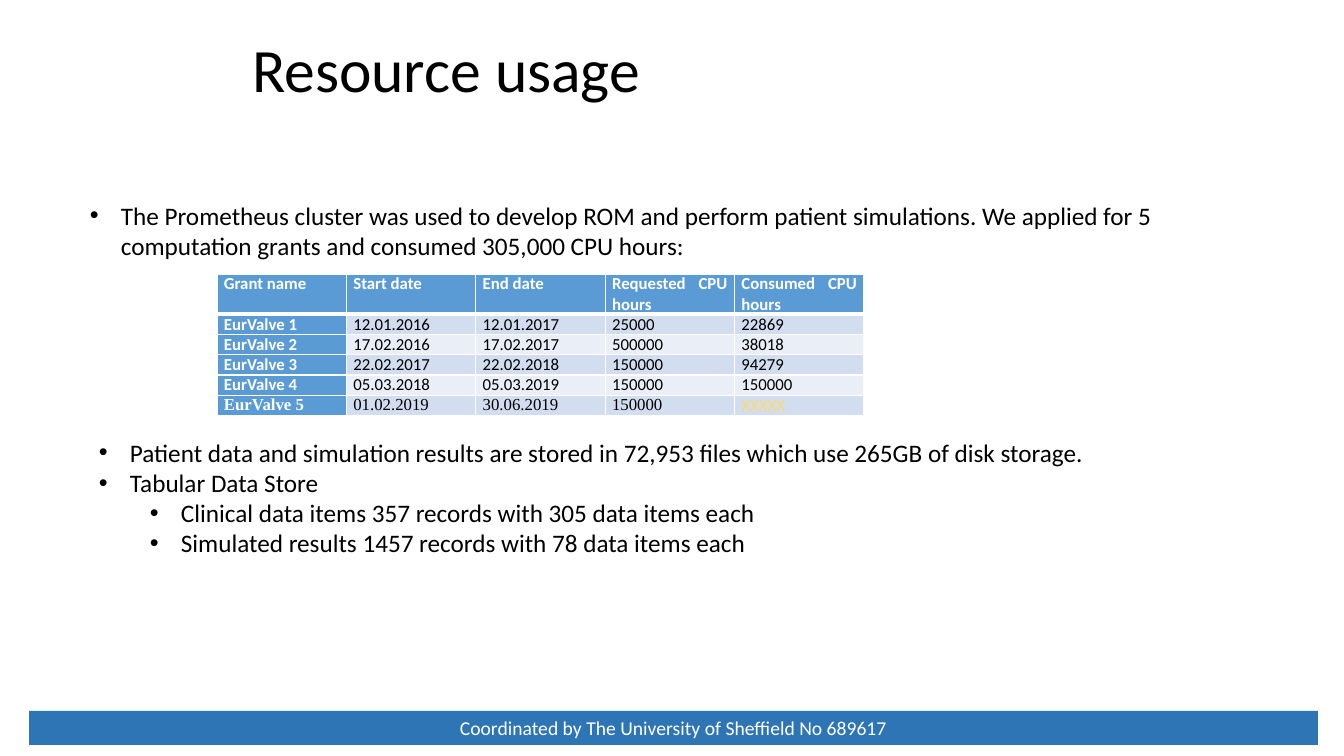
from pptx import Presentation
from pptx.dml.color import RGBColor
from pptx.enum.shapes import MSO_SHAPE
from pptx.enum.text import MSO_ANCHOR, MSO_AUTO_SIZE, PP_ALIGN
from pptx.oxml.ns import qn
from pptx.util import Pt
from lxml.etree import SubElement

SCALE = 914400 / 100.8
HUES = {
    "black": "000000", "white": "FFFFFF", "bar": "2E75B6", "head": "5B9BD5",
    "odd": "D2DEEF", "even": "EAEFF7", "gold": "FFD966",
}
SANS, SERIF = "Calibri", "Times New Roman"
USE = [
    ("The Prometheus cluster was used to develop ROM and perform patient simulations. "
     "We applied for 5 computation grants and consumed 305,000 CPU hours:", 0),
]
STORE = [
    ("Patient data and simulation results are stored in 72,953 files "
     "which use 265GB of disk storage.", 0),
    ("Tabular Data Store", 0),
    ("Clinical data items 357 records with 305 data items each", 1),
    ("Simulated results 1457 records with 78 data items each", 1),
]
GRANTS = [
    ("Grant name", "Start date", "End date", "Requested CPU hours", "Consumed CPU hours"),
    ("EurValve 1", "12.01.2016", "12.01.2017", "25000", "22869"),
    ("EurValve 2", "17.02.2016", "17.02.2017", "500000", "38018"),
    ("EurValve 3", "22.02.2017", "22.02.2018", "150000", "94279"),
    ("EurValve 4", "05.03.2018", "05.03.2019", "150000", "150000"),
    ("EurValve 5", "01.02.2019", "30.06.2019", "150000", "XXXXX"),
]


def px(n):
    return round(n * SCALE)


def hue(name):
    return RGBColor.from_string(HUES[name])


def paint(fill, name):
    fill.solid()
    fill.fore_color.rgb = hue(name)


def write(para, text, size, color="black", face=SANS, bold=False):
    run = para.add_run()
    run.text = text
    font = run.font
    font.size, font.name, font.bold = Pt(size), face, bold
    font.color.rgb = hue(color)


def add_title(slide, box, text):
    title = slide.shapes.title
    title.left, title.top, title.width, title.height = map(px, box)
    frame = title.text_frame
    frame.auto_size = MSO_AUTO_SIZE.NONE
    frame.vertical_anchor = MSO_ANCHOR.MIDDLE
    para = frame.paragraphs[0]
    para.alignment, para.line_spacing = PP_ALIGN.LEFT, 0.9
    write(para, text, 44)


def add_bar(slide, box, text):
    bar = slide.shapes.add_shape(MSO_SHAPE.RECTANGLE, *map(px, box))
    bar.shadow.inherit = False
    paint(bar.fill, "bar")
    bar.line.fill.background()
    para = bar.text_frame.paragraphs[0]
    para.alignment = PP_ALIGN.CENTER
    write(para, text, 14, "white")


def add_list(slide, box, items):
    frame = slide.shapes.add_textbox(*map(px, box)).text_frame
    frame.word_wrap = True
    for i, (text, level) in enumerate(items):
        para = frame.add_paragraph() if i else frame.paragraphs[0]
        para.level = level
        props = para._p.get_or_add_pPr()
        props.set("marL", str(px(31 + 51 * level)))
        props.set("indent", str(-px(31)))
        SubElement(props, qn("a:buFont"), typeface="Arial")
        SubElement(props, qn("a:buChar"), char="•")
        write(para, text, 18)


def add_edges(cell, row):
    props = cell._tc.get_or_add_tcPr()
    wide = {"T": 3 if row == 1 else 1, "B": 3 if row == 0 else 1}
    for side in "LRTB":
        edge = SubElement(props, qn("a:ln" + side), w=str(Pt(wide.get(side, 1))))
        fill = SubElement(edge, qn("a:solidFill"))
        SubElement(fill, qn("a:srgbClr"), val=HUES["white"])


def add_grid(slide, box, rows):
    x, y, w, h = box
    count, wide = len(rows), len(rows[0])
    grid = slide.shapes.add_table(count, wide, *map(px, box)).table
    grid.first_row = grid.horz_banding = False
    for col in grid.columns:
        col.width = px(w) // wide
    unit = h / (count + 1)
    for r, texts in enumerate(rows):
        grid.rows[r].height = px(unit if r else 2 * unit)
        for c, text in enumerate(texts):
            cell = grid.cell(r, c)
            cell.margin_left = cell.margin_right = px(7)
            cell.margin_top = cell.margin_bottom = 0
            add_edges(cell, r)
            key = r == 0 or c == 0
            paint(cell.fill, "head" if key else "odd" if r % 2 else "even")
            last = text == "XXXXX"
            color = "white" if key else "gold" if last else "black"
            face = SERIF if r == count - 1 and not last else SANS
            para = cell.text_frame.paragraphs[0]
            para.alignment = PP_ALIGN.JUSTIFY
            write(para, text, 12, color, face, key)


def main():
    deck = Presentation()
    deck.slide_width, deck.slide_height = px(1344), px(756)
    slide = deck.slides.add_slide(deck.slide_layouts[5])
    add_bar(slide, (29, 711, 1289, 34), "Coordinated by The University of Sheffield No 689617")
    add_title(slide, (242, 0, 835, 146), "Resource usage")
    add_list(slide, (80, 195, 1119, 72), USE)
    add_grid(slide, (217, 274, 647, 141), GRANTS)
    add_list(slide, (89, 432, 1119, 132), STORE)
    deck.save("out.pptx")


if __name__ == "__main__":
    main()
